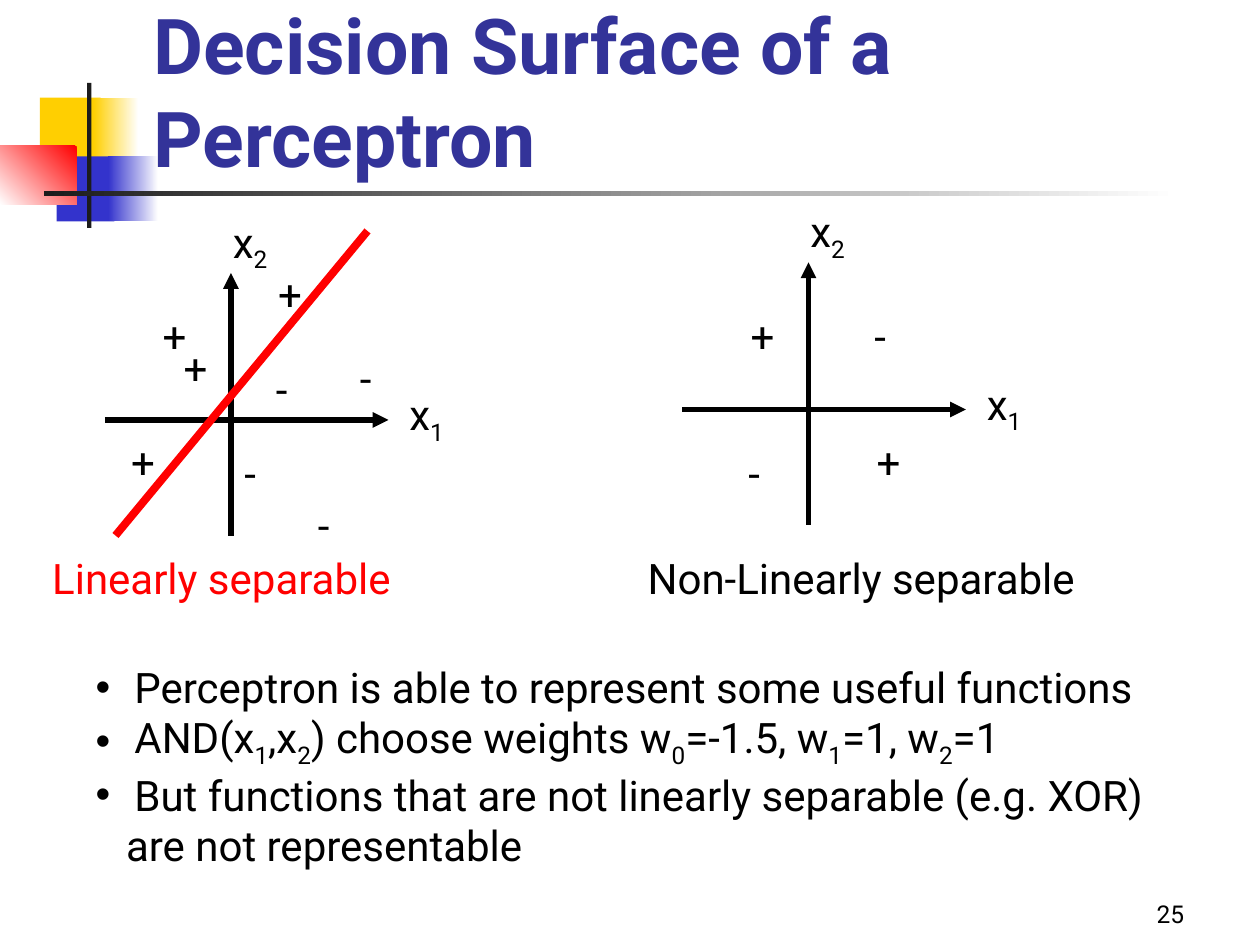
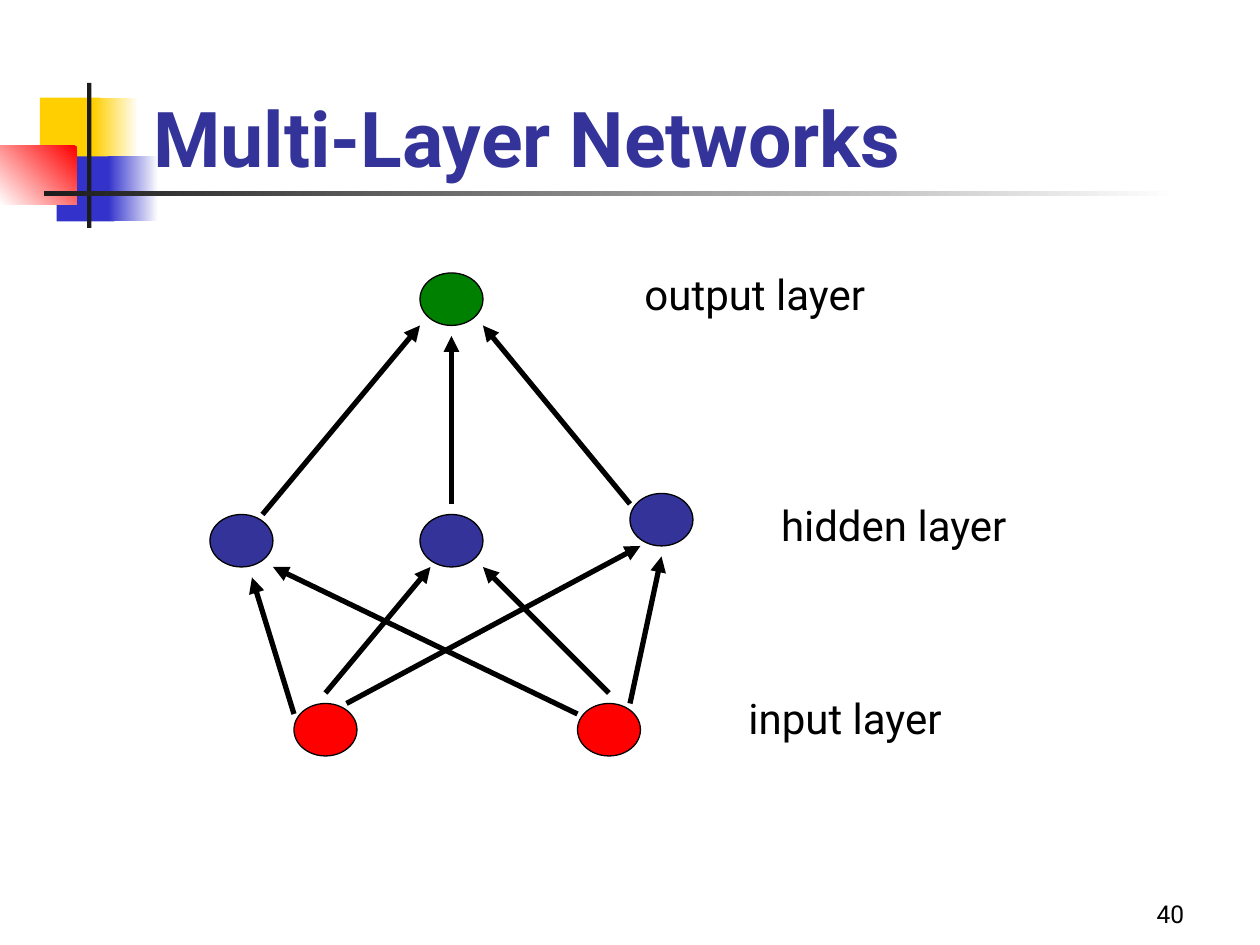
import pptx
import pptx.dml.color
import pptx.enum.shapes
import pptx.enum.text
import pptx.oxml
import pptx.oxml.ns
import pptx.util

SHAPES = pptx.enum.shapes.MSO_SHAPE
ALIGN = pptx.enum.text.PP_ALIGN
ANCHOR = pptx.enum.text.MSO_ANCHOR
COLUMNS, ROWS = 120, 90
BLACK, RED, NAVY, GREEN, WHITE = "000000", "FF0000", "333399", "008000", "FFFFFF"
GOLD, BLUE, CHARCOAL = "FFCF01", "3333CC", "1C1C1C"


def color(value):
    return pptx.dml.color.RGBColor.from_string(value)


def assign(target, values):
    for name, value in values.items():
        setattr(target, name, value)


def add_xml(parent, tag, **attributes):
    element = pptx.oxml.parse_xml(f"<a:{tag} {pptx.oxml.ns.nsdecls('a')}/>")
    for name, value in attributes.items():
        element.set(name, value)
    parent.append(element)


class Deck:
    font = {"name": "Roboto", "bold": False}
    frame = {"word_wrap": True, "auto_size": pptx.enum.text.MSO_AUTO_SIZE.NONE,
             "margin_left": pptx.util.Inches(0.1), "margin_right": 0,
             "margin_top": pptx.util.Inches(0.05), "margin_bottom": pptx.util.Inches(0.05)}

    def __init__(self):
        self.presentation = pptx.Presentation()
        assign(self.presentation, {"slide_width": pptx.util.Inches(10),
                                   "slide_height": pptx.util.Inches(7.5)})
        self.slide = None

    def across(self, columns):
        return round(self.presentation.slide_width * columns / COLUMNS)

    def down(self, rows):
        return round(self.presentation.slide_height * rows / ROWS)

    def box(self, column, row, width, height):
        return self.across(column), self.down(row), self.across(width), self.down(height)

    def place(self, shape, box):
        assign(shape, dict(zip(("left", "top", "width", "height"), self.box(*box))))

    def fill_text(self, shape, lines, size=24, ink=BLACK, bold=False,
                  align=ALIGN.LEFT, anchor=ANCHOR.TOP, indents=None):
        frame = shape.text_frame
        assign(frame, {**self.frame, "vertical_anchor": anchor})
        for index, line in enumerate(lines):
            paragraph = frame.add_paragraph() if index else frame.paragraphs[0]
            assign(paragraph, {"alignment": align, "space_before": pptx.util.Pt(0)})
            if indents:
                self.bullet(paragraph, *indents[index])
            first, *rest = line.split("_")
            self.run(paragraph, first, size, ink, bold)
            for part in rest:
                subscript = self.run(paragraph, part[0], size, ink, bold)
                subscript.font._element.set("baseline", "-25000")
                if part[1:]:
                    self.run(paragraph, part[1:], size, ink, bold)

    def run(self, paragraph, text, size, ink, bold):
        run = paragraph.add_run()
        run.text = text
        assign(run.font, {**self.font, "size": pptx.util.Pt(size), "bold": bold})
        run.font.color.rgb = color(ink)
        return run

    def bullet(self, paragraph, columns, mark):
        properties = paragraph._p.get_or_add_pPr()
        properties.set("marL", str(self.across(columns)))
        properties.set("indent", str(-self.across(columns) if mark else 0))
        if mark:
            add_xml(properties, "buChar", char=mark)
        else:
            add_xml(properties, "buNone")

    def start(self, layout, title, number):
        layouts = self.presentation.slide_layouts
        self.slide = self.presentation.slides.add_slide(layouts.get_by_name(layout))
        heading = self.slide.shapes.title
        self.place(heading, (13.4, 3, 102.3, 15))
        self.fill_text(heading, [title], 44, NAVY, True, anchor=ANCHOR.BOTTOM)
        self.label(number, 89, 83, 23.8, size=14, align=ALIGN.RIGHT, anchor=ANCHOR.BOTTOM)

    def body(self, lines, box, indents):
        placeholder = self.slide.placeholders[1]
        self.place(placeholder, box)
        self.fill_text(placeholder, lines, indents=indents)

    def label(self, text, column, row, width, height=6, **style):
        textbox = self.slide.shapes.add_textbox(*self.box(column, row, width, height))
        self.fill_text(textbox, [text], **style)

    def shape(self, kind, box, fill, fade=None, angle=180, outline=None):
        shape = self.slide.shapes.add_shape(kind, *self.box(*box))
        shape.shadow.inherit = False
        if fade:
            shape.fill.gradient()
            shape.fill.gradient_angle = angle
            for stop, shade in zip(shape.fill.gradient_stops, (fill, fade)):
                stop.color.rgb = color(shade)
        else:
            shape.fill.solid()
            shape.fill.fore_color.rgb = color(fill)
        if outline:
            shape.line.color.rgb = color(outline)
            shape.line.width = pptx.util.Pt(0.75)
        else:
            shape.line.fill.background()
        return shape

    def line(self, begin, end, ink=BLACK, width=3, arrow=True):
        points = [measure(value) for point in (begin, end)
                  for measure, value in zip((self.across, self.down), point)]
        connector = self.slide.shapes.add_connector(
            pptx.enum.shapes.MSO_CONNECTOR.STRAIGHT, *points)
        connector.line.color.rgb = color(ink)
        connector.line.width = pptx.util.Pt(width)
        if arrow:
            add_xml(connector.line._get_or_add_ln(), "tailEnd", type="triangle")
        add_xml(connector.element.spPr, "effectLst")

    def decorate_master(self):
        bands = [((3.8, 9.3, 5.8, 6.3), GOLD),
                 ((8.9, 9.3, 4.3, 6.3), WHITE, GOLD),
                 ((5.4, 14.9, 5.5, 6.2), BLUE),
                 ((10.3, 14.9, 4.8, 6.2), WHITE, BLUE),
                 ((0, 13.9, 7.3, 5.6), RED, WHITE, 225),
                 ((8.3, 7.9, 0.4, 13.8), CHARCOAL),
                 ((4.2, 18.2, 108, 0.45), WHITE, CHARCOAL)]
        master = self.presentation.slide_master.shapes.element
        for index, band in enumerate(bands):
            element = self.shape(SHAPES.RECTANGLE, *band).element
            element.nvSpPr.cNvPr.set("id", str(20 + index))
            master.insert(2 + index, element)

    def plane(self, column, row, signs):
        self.line((column, row + 11), (column, row - 14))
        self.line((column - 12, row), (column + 15, row))
        self.label("x_1", column + 15.8, row - 3.55, 6, 6.7)
        self.label("x_2", column - 1, row - 20, 6, 6.7)
        for sign, shift in (("+", 0.3), ("-", 0.1)):
            for right, below in signs[sign]:
                self.label(sign, column + right + shift, row + below, 4.7)


def decision_surface(deck):
    deck.start("Title and Content", "Decision Surface of a Perceptron", "25")
    deck.decorate_master()
    deck.plane(22, 40, {"+": [(3, -15), (-6, -8), (-8, -11), (-11, 1)],
                        "-": [(0, 2), (3, -6), (7, 7), (11, -7)]})
    deck.line((11, 51), (35, 22), RED, 4.5, arrow=False)
    deck.plane(77, 39, {"+": [(-7, -10), (5, 2)], "-": [(-7, 3), (5, -10)]})
    deck.label("Linearly separable", 3.8, 52, 36.7, ink=RED)
    deck.label("Non-Linearly separable", 60.5, 52, 46)
    deck.body(["Perceptron is able to represent some useful functions",
               "AND(x_1,x_2) choose weights w_0=-1.5, w_1=1, w_2=1",
               "But functions that are not linearly separable (e.g. XOR)",
               "are not representable"],
              (7.9, 62.4, 107.9, 21.1), [(3.7, "•")] * 3 + [(2.9, None)])


def multi_layer_networks(deck):
    deck.start("Title Only", "Multi-Layer Networks", "40")
    layers = [("input layer", (70.1, 65.4), RED, [(28, 67), (55, 67)]),
              ("hidden layer", (73.2, 47), NAVY, [(20, 49), (40, 49), (60, 47)]),
              ("output layer", (60.2, 25), GREEN, [(40, 26)])]
    for name, corner, fill, neurons in layers:
        deck.label(name, *corner, 26)
        for neuron in neurons:
            deck.shape(SHAPES.OVAL, (*neuron, 6, 5), fill, outline=BLACK)
    weights = [((28, 68), (24, 55)), ((31, 66), (41, 54)), ((33, 67), (61, 52)),
               ((55, 68), (26, 54)), ((58, 66), (46, 54)), ((60, 67), (63, 53)),
               ((25, 49), (40, 31)), ((43, 48), (43, 32)), ((60, 48), (46, 31))]
    for begin, end in weights:
        deck.line(begin, end)


def main():
    deck = Deck()
    decision_surface(deck)
    multi_layer_networks(deck)
    deck.presentation.save("out.pptx")


if __name__ == "__main__":
    main()
